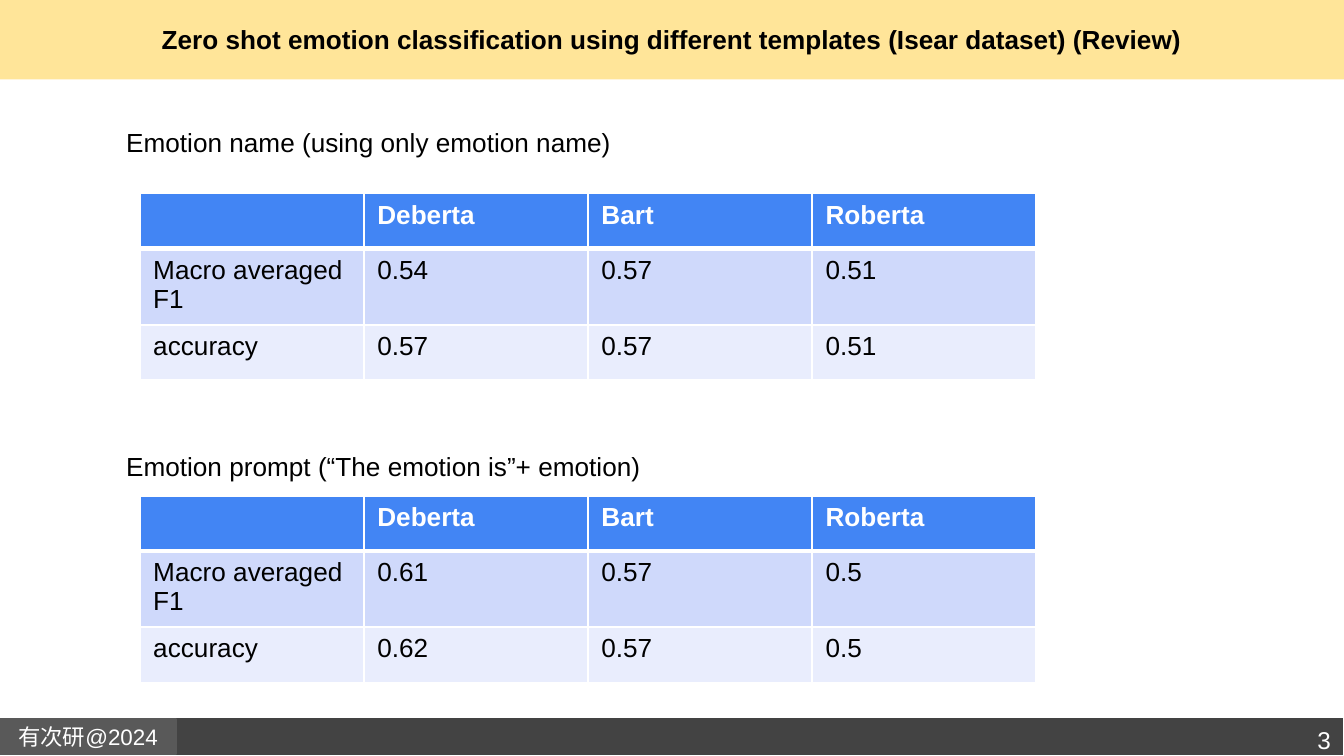
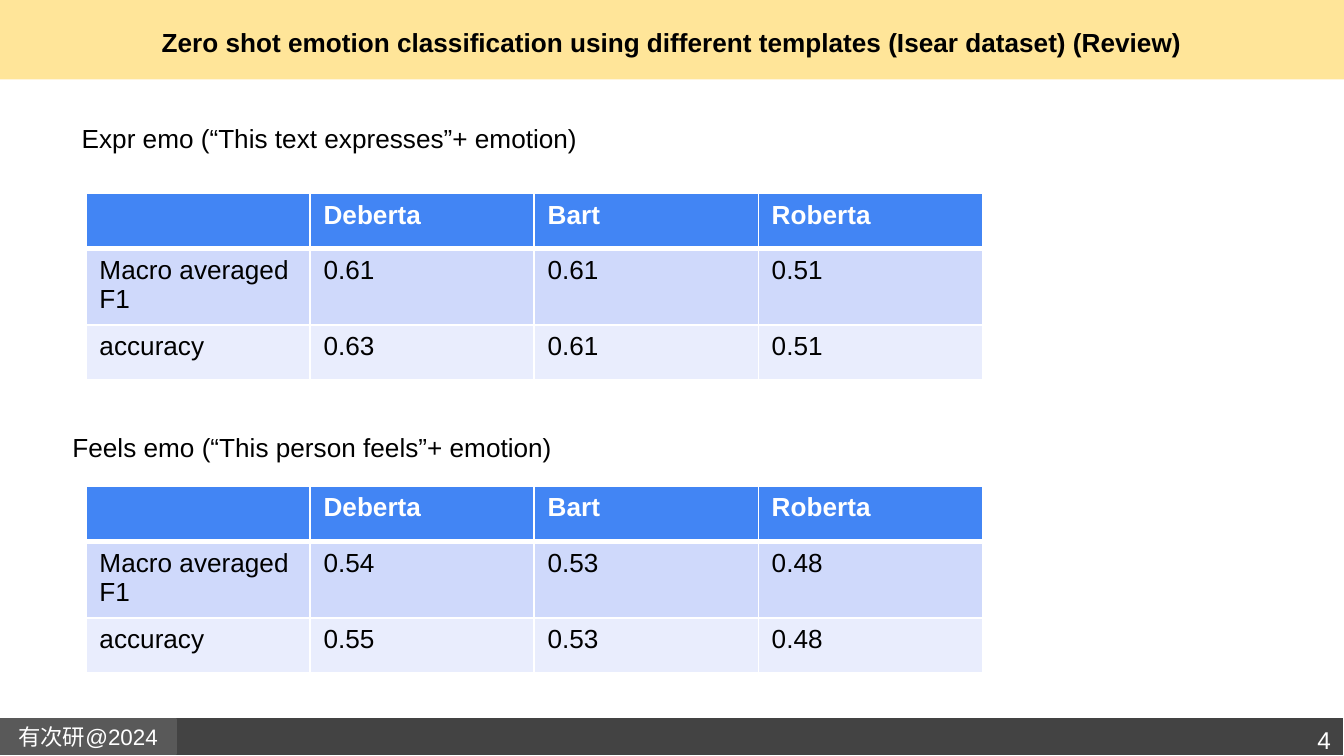
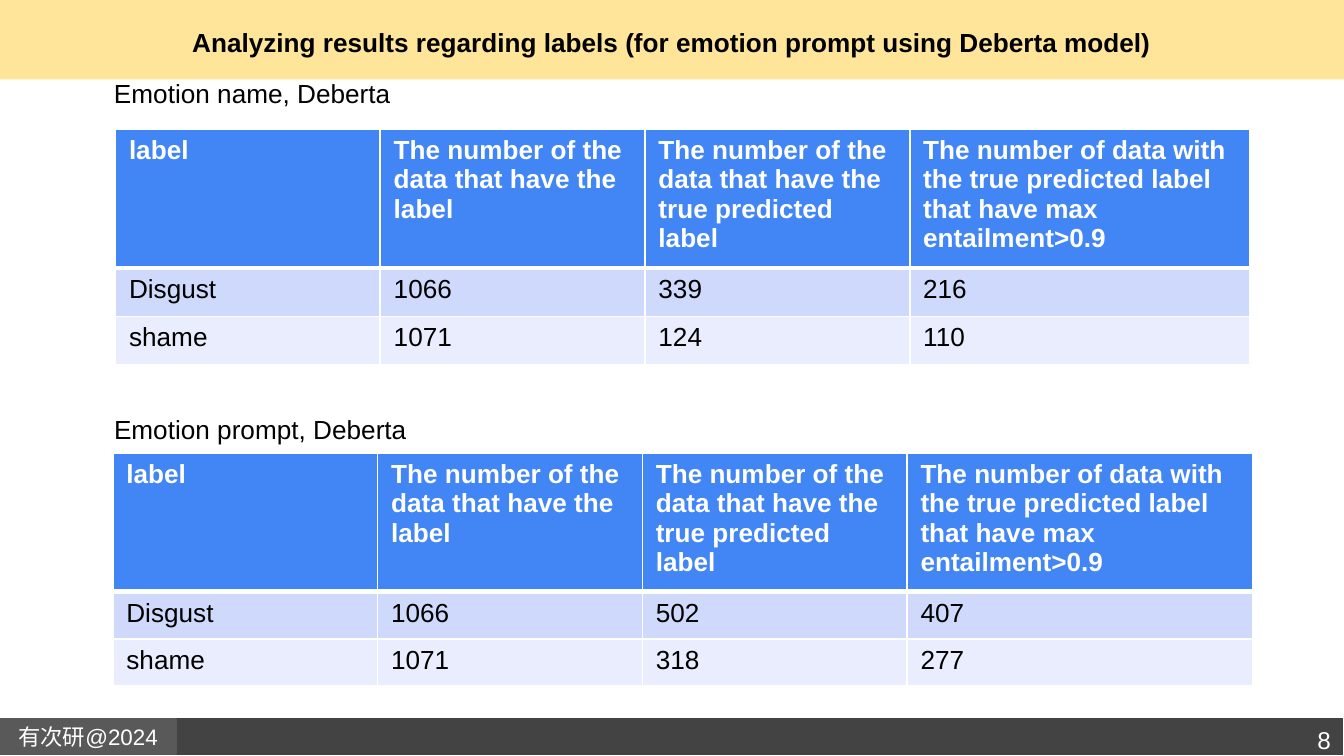
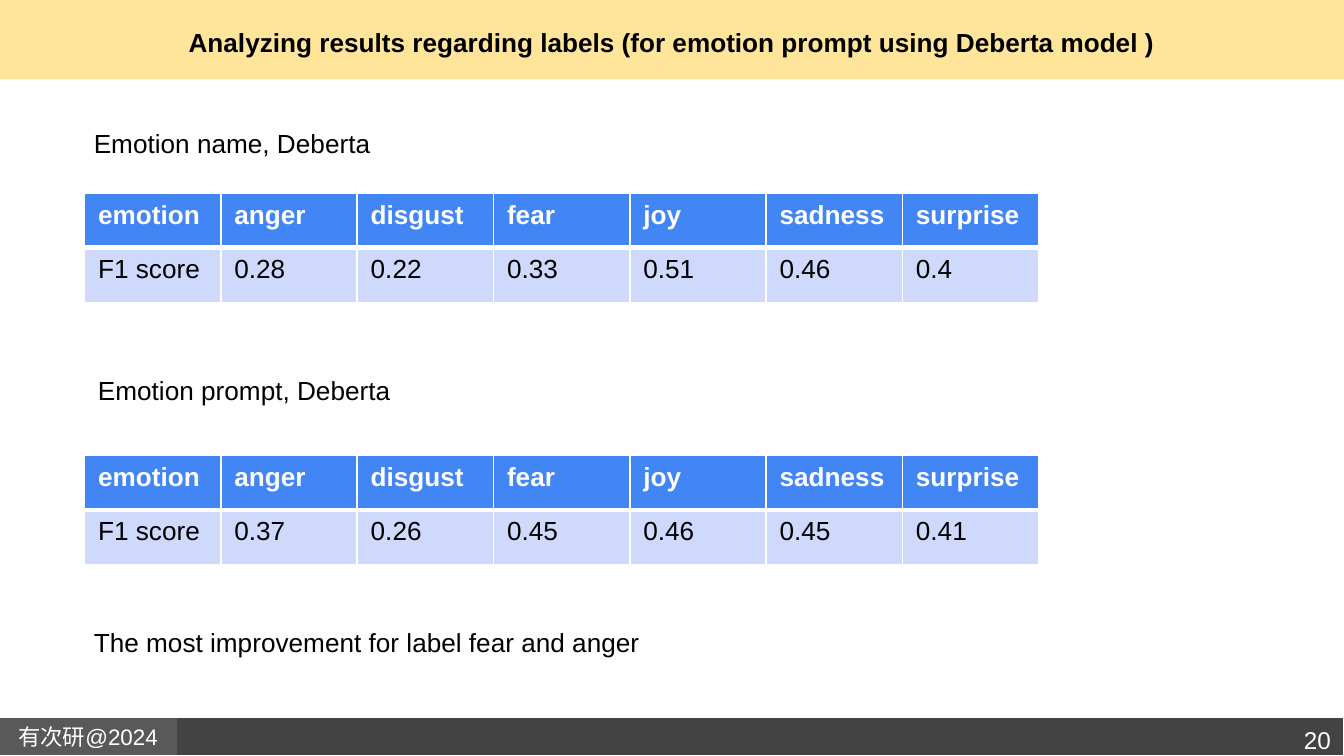
import pptx
import pptx.util
import pptx.dml.color
import pptx.enum.shapes
import pptx.enum.text
import pptx.oxml
import pptx.oxml.ns

Inches = pptx.util.Inches
Pt = pptx.util.Pt
ALIGN = pptx.enum.text.PP_ALIGN
ANCHOR = pptx.enum.text.MSO_ANCHOR

# ---- Content ----
LAB = "有次研@2024"
REVIEW = "Zero shot emotion classification using different templates (Isear dataset) (Review)"
ANALYSIS = "Analyzing results regarding labels (for emotion prompt using Deberta model"
MODELS = ("", "Deberta", "Bart", "Roberta")
COUNTS = (
    "label",
    "The number of the data that have the label",
    "The number of the data that have the true predicted label",
    "The number of data with the true predicted label that have max entailment>0.9",
)
EMOTIONS = ("emotion", "anger", "disgust", "fear", "joy", "sadness", "surprise")


def model_scores(f1_scores, accuracies):
    return [MODELS, ("Macro averaged F1", *f1_scores), ("accuracy", *accuracies)]


def label_counts(disgust, shame):
    return [COUNTS, ("Disgust", "1066", *disgust), ("shame", "1071", *shame)]


def emotion_scores(*scores):
    return [EMOTIONS, ("F1 score", *scores)]


# Column widths and row heights of each kind of table
MODEL_GRID = ([6.67 / 4] * 4, [0.41, 0.56, 0.41])
EMOTION_GRID = ([7.1 / 7] * 7, [0.81 / 2] * 2)
NAME_GRID = ([1.97] * 3 + [2.53], [1.03, 0.36, 0.36])
PROMPT_GRID = ([1.97] * 3 + [2.57], [1.03, 0.35, 0.35])

# captions: text, (left, top, width, height), wrap
# tables: (left, top), grid, rows
PAGES = [
    {
        "number": "3", "title": REVIEW, "title_box": (0.34, 0.03, 9.32, 0.52),
        "captions": [
            ("Emotion name (using only emotion name)", (0.84, 0.89, 3.82, 0.34), False),
            ("Emotion prompt (“The emotion is”+ emotion)", (0.84, 3.3, 4.04, 0.34), False),
        ],
        "tables": [
            ((1.04, 1.44), MODEL_GRID,
             model_scores(("0.54", "0.57", "0.51"), ("0.57", "0.57", "0.51"))),
            ((1.04, 3.69), MODEL_GRID,
             model_scores(("0.61", "0.57", "0.5"), ("0.62", "0.57", "0.5"))),
        ],
    },
    {
        "number": "4", "title": REVIEW,
        "captions": [
            ("Expr emo (“This text expresses”+ emotion)", (0.51, 0.86, 4.97, 0.81), True),
            ("Feels emo (“This person feels”+ emotion)", (0.44, 3.16, 3.78, 0.34), False),
        ],
        "tables": [
            ((0.64, 1.44), MODEL_GRID,
             model_scores(("0.61", "0.61", "0.51"), ("0.63", "0.61", "0.51"))),
            ((0.64, 3.62), MODEL_GRID,
             model_scores(("0.54", "0.53", "0.48"), ("0.55", "0.53", "0.48"))),
        ],
    },
    {
        "number": "8", "title": ANALYSIS + ")",
        "captions": [
            ("Emotion name, Deberta", (0.75, 0.53, 3.06, 0.57), True),
            ("Emotion prompt, Deberta", (0.75, 3.03, 2.39, 0.34), False),
        ],
        "tables": [
            ((0.86, 0.96), NAME_GRID, label_counts(("339", "216"), ("124", "110"))),
            ((0.84, 3.37), PROMPT_GRID, label_counts(("502", "407"), ("318", "277"))),
        ],
    },
    {
        "number": "20", "title": ANALYSIS + " )",
        "captions": [
            ("Emotion name, Deberta", (0.6, 0.9, 2.27, 0.34), False),
            ("Emotion prompt, Deberta", (0.63, 2.74, 2.39, 0.34), False),
            ("The most improvement for label fear and anger", (0.6, 4.61, 4.28, 0.34), False),
        ],
        "tables": [
            ((0.63, 1.44), EMOTION_GRID,
             emotion_scores("0.28", "0.22", "0.33", "0.51", "0.46", "0.4")),
            ((0.63, 3.39), EMOTION_GRID,
             emotion_scores("0.37", "0.26", "0.45", "0.46", "0.45", "0.41")),
        ],
    },
]


# ---- Theme ----
class Theme:
    font = "Arial"
    body_size, number_size, lab_size = 14, 13, 12
    black, white = "000000", "FFFFFF"
    title_band, footer_band, lab_tag = "FFE599", "434343", "595959"
    header, bands = "4285F4", ("CFD9FB", "E9EDFD")
    thin_border, header_border = 1, 3
    title_box = (0.34, 0, 9.32, 0.63)
    number_box = (8.95, 5.3, 1.05, 0.37)


def rgb(code):
    return pptx.dml.color.RGBColor.from_string(code)


# ---- Text ----
def write(frame, text, size=Theme.body_size, color=Theme.black, bold=False, align=ALIGN.LEFT):
    para = frame.paragraphs[0]
    para.alignment = align
    span = para.add_run()
    span.text = text
    span.font.name = Theme.font
    span.font.size = Pt(size)
    span.font.bold = bold
    span.font.color.rgb = rgb(color)


def pad(frame, inset=0.1):
    frame.margin_left = frame.margin_right = Inches(inset)
    frame.margin_top = frame.margin_bottom = Inches(inset)


def place(shape, box):
    shape.left, shape.top, shape.width, shape.height = map(Inches, box)


def add_text(page, text, box, wrap=True):
    frame = page.shapes.add_textbox(*map(Inches, box)).text_frame
    frame.word_wrap = wrap
    write(frame, text)


def add_title(page, text, box):
    title = page.shapes.title
    place(title, box)
    frame = title.text_frame
    frame.auto_size = pptx.enum.text.MSO_AUTO_SIZE.NONE
    frame.word_wrap = True
    frame.vertical_anchor = ANCHOR.MIDDLE
    pad(frame)
    write(frame, text, bold=True, align=ALIGN.CENTER)


def add_number(page, number):
    frame = page.shapes.add_textbox(*map(Inches, Theme.number_box)).text_frame
    frame.word_wrap = True
    pad(frame)
    write(frame, number, Theme.number_size, Theme.white, align=ALIGN.RIGHT)


# ---- Bands shared through the layout ----
def add_band(page, box, fill, line=None):
    band = page.shapes.add_shape(
        pptx.enum.shapes.MSO_SHAPE.RECTANGLE, *map(Inches, box))
    band.shadow.inherit = False
    band.fill.solid()
    band.fill.fore_color.rgb = rgb(fill)
    if line:
        band.line.color.rgb = rgb(line)
        band.line.width = Pt(0.75)
    else:
        band.line.fill.background()
    return band


def furnish_layout(layout, page):
    """Draw the bands on a page, then move them to the back of its layout."""
    bands = [
        add_band(page, (0, 0, 10, 0.59), Theme.title_band),
        add_band(page, (0, 5.34, 10, 0.28), Theme.footer_band, Theme.white),
        add_band(page, (0, 5.35, 1.31, 0.26), Theme.lab_tag, Theme.lab_tag),
    ]
    frame = bands[-1].text_frame
    frame.vertical_anchor = ANCHOR.MIDDLE
    pad(frame)
    write(frame, LAB, Theme.lab_size, Theme.white, align=ALIGN.CENTER)
    for index, band in enumerate(bands):
        layout.shapes.element.insert(2 + index, band.element)


# ---- Tables ----
def set_borders(cell, top, bottom):
    widths = {"lnL": Theme.thin_border, "lnR": Theme.thin_border, "lnT": top, "lnB": bottom}
    properties = cell._tc.get_or_add_tcPr()
    for index, (side, width) in enumerate(widths.items()):
        properties.insert(index, pptx.oxml.parse_xml(
            f'<a:{side} {pptx.oxml.ns.nsdecls("a")} w="{Pt(width)}">'
            f'<a:solidFill><a:srgbClr val="{Theme.white}"/></a:solidFill></a:{side}>'))


def add_grid(page, corner, grid, rows):
    widths, heights = grid
    size = (sum(widths), sum(heights))
    table = page.shapes.add_table(
        len(rows), len(widths), *map(Inches, corner + size)).table
    table.horz_banding = False
    for column, width in zip(table.columns, widths):
        column.width = Inches(width)
    for index, (row, height, texts) in enumerate(zip(table.rows, heights, rows)):
        row.height = Inches(height)
        is_header = index == 0
        top = Theme.header_border if index == 1 else Theme.thin_border
        bottom = Theme.header_border if is_header else Theme.thin_border
        fill = Theme.header if is_header else Theme.bands[(index - 1) % 2]
        for cell, text in zip(row.cells, texts):
            cell.fill.solid()
            cell.fill.fore_color.rgb = rgb(fill)
            set_borders(cell, top, bottom)
            write(cell.text_frame, text, bold=is_header,
                  color=Theme.white if is_header else Theme.black)


# ---- Deck ----
def main():
    deck = pptx.Presentation()
    deck.slide_width = Inches(10)
    deck.slide_height = Inches(10 * 9 / 16)
    layout = deck.slide_layouts[5]
    for index, content in enumerate(PAGES):
        page = deck.slides.add_slide(layout)
        if index == 0:
            furnish_layout(layout, page)
        add_title(page, content["title"], content.get("title_box", Theme.title_box))
        add_number(page, content["number"])
        for caption in content["captions"]:
            add_text(page, *caption)
        for table in content["tables"]:
            add_grid(page, *table)
    deck.save("out.pptx")


if __name__ == "__main__":
    main()
